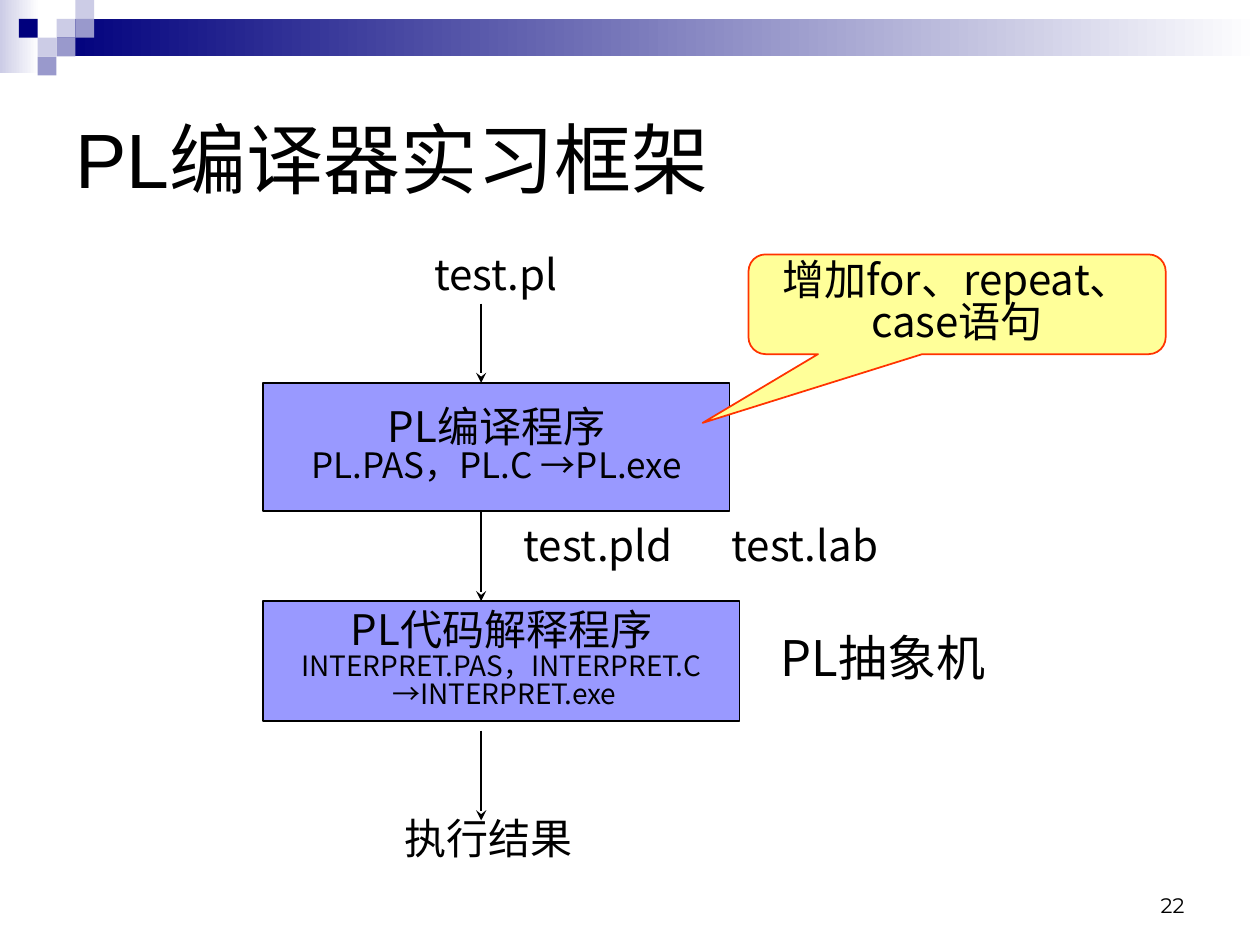
import pptx
import pptx.dml.color
import pptx.enum.shapes
import pptx.enum.text
import pptx.oxml.ns
import pptx.util
from lxml import etree

Cm = pptx.util.Cm
SHAPE = pptx.enum.shapes.MSO_SHAPE
ALIGN = pptx.enum.text.PP_ALIGN
ANCHOR = pptx.enum.text.MSO_ANCHOR
qn = pptx.oxml.ns.qn
FONT = "Noto Sans CJK SC"
TIGHT = 0.83  # brings the tall CJK line height down to about 1.2 em


def rgb(value):
    return pptx.dml.color.RGBColor.from_string(value)


def write(tf, lines, align=ALIGN.LEFT, anchor=ANCHOR.TOP, font=FONT, wrap=True):
    """Fill a text frame with (text, size) lines."""
    tf.word_wrap = wrap
    tf.vertical_anchor = anchor
    for i, (text, size) in enumerate(lines):
        p = tf.add_paragraph() if i else tf.paragraphs[0]
        p.text = text
        p.alignment = align
        if font == FONT:
            p.line_spacing = TIGHT
        for r in p.runs:
            r.font.size = pptx.util.Pt(size)
            r.font.name = font
            r.font.color.rgb = rgb("000000")
            ea = etree.SubElement(r.font._element, qn("a:ea"))
            ea.set("typeface", FONT)


def add_block(s, kind, x, y, w, h, fill, line=None):
    sp = s.shapes.add_shape(kind, Cm(x), Cm(y), Cm(w), Cm(h))
    sp.shadow.inherit = False
    if isinstance(fill, tuple):
        sp.fill.gradient()
        sp.fill.gradient_angle = 0
        for stop, position, color in zip(sp.fill.gradient_stops, (0, 1), fill):
            stop.position = position
            stop.color.rgb = rgb(color)
    else:
        sp.fill.solid()
        sp.fill.fore_color.rgb = rgb(fill)
    if line:
        sp.line.color.rgb = rgb(line)
        sp.line.width = pptx.util.Pt(1)
    else:
        sp.line.fill.background()
    return sp


def add_label(s, x, y, w, h, text, size, **style):
    sp = s.shapes.add_textbox(Cm(x), Cm(y), Cm(w), Cm(h))
    write(sp.text_frame, [(text, size)], **style)


def add_down_arrow(s, x, top, bottom):
    c = s.shapes.add_connector(pptx.enum.shapes.MSO_CONNECTOR.STRAIGHT,
                               Cm(x), Cm(top), Cm(x), Cm(bottom))
    c.line.color.rgb = rgb("000000")
    c.line.width = pptx.util.Pt(1)
    etree.SubElement(c.line._get_or_add_ln(), qn("a:tailEnd")).set("type", "stealth")
    etree.SubElement(c._element.spPr, qn("a:effectLst"))


def add_banner(s, x, y, w):
    """Gradient bar with a staircase of small squares at its left end."""
    cell = 0.38
    add_block(s, SHAPE.RECTANGLE, x, y, 0.79, 1.47, ("CCCCE6", "FFFFFF"))
    add_block(s, SHAPE.RECTANGLE, x + 3 * cell, y + cell, w - 3 * cell, 2 * cell,
              ("00007D", "FFFFFF"))
    squares = {"CCCCE6": [(3, 1), (4, 0), (2, 2)],
               "9999CC": [(4, 1), (3, 2), (2, 3)],
               "00007D": [(1, 1)]}
    for color, places in squares.items():
        for col, row in places:
            add_block(s, SHAPE.RECTANGLE, x + col * cell, y + row * cell,
                      cell, cell, color)


def add_title(s, x, y, w, h):
    sp = s.shapes.title
    sp.left, sp.top, sp.width, sp.height = Cm(x), Cm(y), Cm(w), Cm(h)
    write(sp.text_frame, [("PL编译器实习框架", 44)], anchor=ANCHOR.MIDDLE, font="Arial")


def add_flow(s, x, y):
    """Compiler and interpreter steps, with the files passed between them."""
    steps = [
        (2.67, 9.4, 2.59, [("PL编译程序", 24), ("PL.PAS，PL.C →PL.exe", 20)]),
        (7.07, 9.6, 2.41, [("PL代码解释程序", 24), ("INTERPRET.PAS，INTERPRET.C", 16),
                           (" →INTERPRET.exe", 16)]),
    ]
    for top, w, h, lines in steps:
        sp = add_block(s, SHAPE.RECTANGLE, x, y + top, w, h, "9999FF", "000000")
        write(sp.text_frame, lines, ALIGN.CENTER, ANCHOR.MIDDLE, wrap=False)

    for top, bottom in [(1.07, 2.67), (5.26, 7.07), (9.68, 11.49)]:
        add_down_arrow(s, x + 4.39, y + top, y + bottom)

    labels = [
        (3.2, 0, 3.76, "test.pl", 24),
        (5, 5.47, 3.81, "test.pld", 24),
        (9.19, 5.47, 3.81, "test.lab", 24),
        (2.59, 11.38, 4.8, "执行结果", 24),
        (10.18, 7.68, 5.61, "PL抽象机", 28),
    ]
    for dx, dy, w, text, size in labels:
        add_label(s, x + dx, y + dy, w, 1.27, text, size)


def add_callout(s, x, y, w, h):
    sp = add_block(s, SHAPE.ROUNDED_RECTANGULAR_CALLOUT, x, y, w, h, "FFFF99", "FF3300")
    for i, value in enumerate((-0.61, 1.19, 0.17)):
        sp.adjustments[i] = value
    write(sp.text_frame, [("增加for、repeat、case语句", 24)], ALIGN.CENTER, ANCHOR.MIDDLE)


def main():
    prs = pptx.Presentation()
    prs.slide_width, prs.slide_height = Cm(25.4), Cm(19.05)
    s = prs.slides.add_slide(prs.slide_layouts[5])
    add_banner(s, 0, 0, 25.4)
    add_title(s, 1.27, 1.27, 22.86, 3.81)
    add_flow(s, 5.31, 5.05)
    add_callout(s, 15.09, 5.13, 8.41, 2.01)
    add_label(s, 18.21, 17.35, 5.92, 1.27, "22", 12, align=ALIGN.RIGHT,
              anchor=ANCHOR.BOTTOM, font="Montserrat")
    prs.save("out.pptx")


if __name__ == "__main__":
    main()
